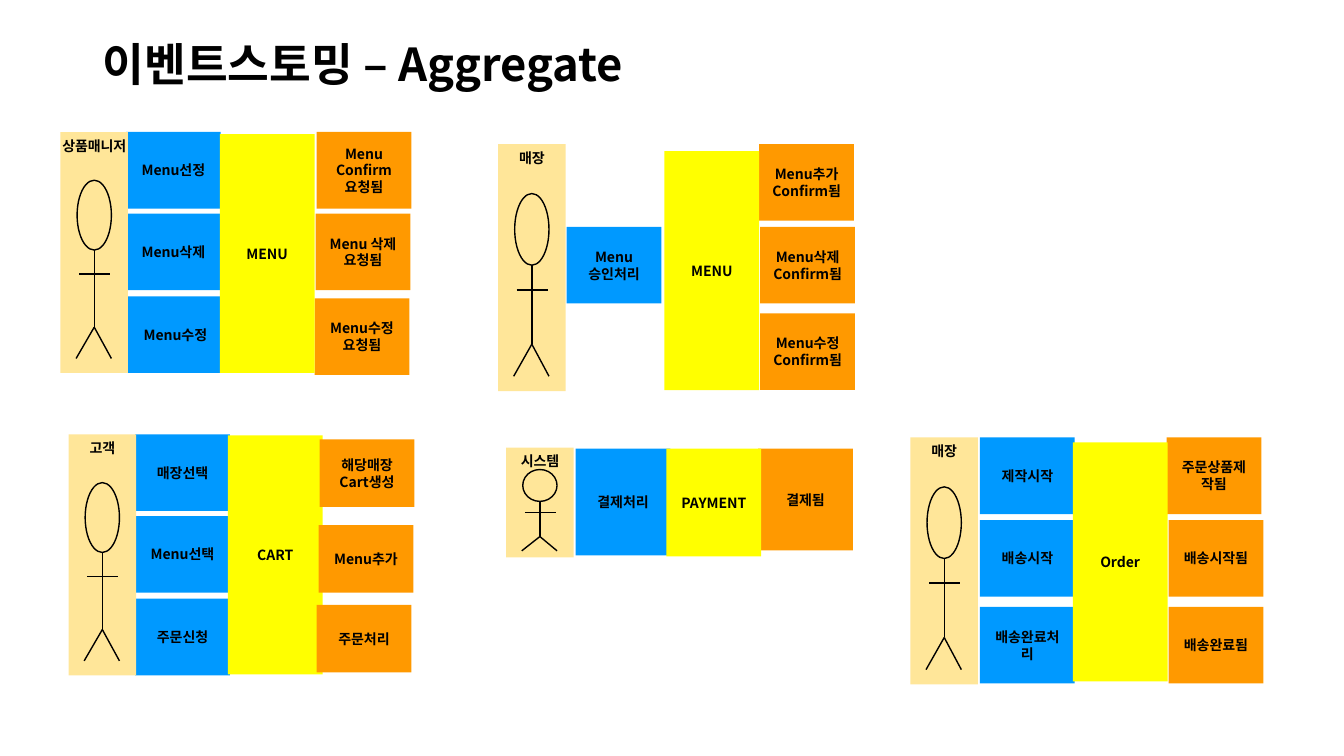
from dataclasses import dataclass

from lxml.etree import SubElement
from pptx import Presentation
from pptx.dml.color import RGBColor
from pptx.enum.shapes import MSO_CONNECTOR, MSO_SHAPE
from pptx.enum.text import MSO_ANCHOR, PP_ALIGN
from pptx.oxml.ns import qn
from pptx.util import Inches, Pt


@dataclass(frozen=True)
class Theme:
    """Colours, fonts and type sizes of the board."""

    ink: str = "000000"
    actor: str = "FFE699"
    command: str = "0099FF"
    aggregate: str = "FFFF00"
    event: str = "FF9900"
    note_font: str = "Noto Sans CJK KR"
    actor_font: str = "Arial"
    title_size: float = 32.4
    note_size: float = 10
    stroke: float = 1


@dataclass(frozen=True)
class Note:
    """A sticky note with its place in inches."""

    text: str
    left: float
    top: float
    height: float = 0.76
    width: float = 0.94


@dataclass(frozen=True)
class Lane:
    """One actor with its commands, aggregate and events."""

    actor: Note
    commands: tuple[Note, ...]
    aggregate: Note
    events: tuple[Note, ...]
    events_in_front: bool = False


THEME = Theme()
ACTOR_WIDTH = 0.67
AGGREGATE_HEIGHT = 2.37
CART_EVENT_HEIGHT = 0.67

LANES = (
    Lane(
        Note("상품매니저", 0.6, 1.31, 2.39, ACTOR_WIDTH),
        (Note("Menu선정", 1.25, 1.31), Note("Menu삭제", 1.25, 2.12), Note("Menu수정", 1.27, 2.94)),
        Note("MENU", 2.18, 1.33, AGGREGATE_HEIGHT),
        (
            Note("Menu Confirm 요청됨", 3.14, 1.31),
            Note("Menu 삭제 요청됨", 3.13, 2.12),
            Note("Menu수정 요청됨", 3.12, 2.96),
        ),
    ),
    Lane(
        Note("매장", 4.94, 1.43, 2.45, ACTOR_WIDTH),
        (Note("Menu승인처리", 5.62, 2.25),),
        Note("MENU", 6.59, 1.5, AGGREGATE_HEIGHT),
        (
            Note("Menu추가 Confirm됨", 7.53, 1.43),
            Note("Menu삭제Confirm됨", 7.54, 2.25),
            Note("Menu수정Confirm됨", 7.54, 3.11),
        ),
    ),
    Lane(
        Note("고객", 0.68, 4.31, 2.39, ACTOR_WIDTH),
        (Note("매장선택", 1.34, 4.31), Note("Menu선택", 1.34, 5.12), Note("주문신청", 1.34, 5.94)),
        Note("CART", 2.26, 4.32, AGGREGATE_HEIGHT),
        (
            Note("해당매장Cart생성", 3.17, 4.36, CART_EVENT_HEIGHT),
            Note("Menu추가", 3.16, 5.21, CART_EVENT_HEIGHT),
            Note("주문처리", 3.14, 6, CART_EVENT_HEIGHT),
        ),
        events_in_front=True,
    ),
    Lane(
        Note("시스템", 5.02, 4.44, 1.09, ACTOR_WIDTH),
        (Note("결제처리", 5.71, 4.45, 1.06),),
        Note("PAYMENT", 6.61, 4.45, 1.07),
        (Note("결제됨", 7.52, 4.45, 1.01),),
    ),
    Lane(
        Note("매장", 9.03, 4.34, 2.45, ACTOR_WIDTH),
        (Note("제작시작", 9.72, 4.34), Note("배송시작", 9.72, 5.16), Note("배송완료처리", 9.72, 6.02)),
        Note("Order", 10.64, 4.39, AGGREGATE_HEIGHT),
        (Note("주문상품제작됨", 11.57, 4.34), Note("배송시작됨", 11.59, 5.16), Note("배송완료됨", 11.59, 6.02)),
    ),
)


def apply_format(target: object, values: dict[str, object]) -> None:
    """Set every named attribute on the target."""
    for name, value in values.items():
        setattr(target, name, value)


def write(frame, text: str, font: str, size: float, frame_format: dict, line_format: dict) -> None:
    """Write one bold paragraph into a text frame."""
    apply_format(frame, frame_format)
    paragraph = frame.paragraphs[0]
    apply_format(paragraph, line_format)
    run = paragraph.add_run()
    run.text = text
    apply_format(run.font, {"name": font, "size": Pt(size), "bold": True})
    run.font.color.rgb = RGBColor.from_string(THEME.ink)
    SubElement(run.font._element, qn("a:ea"), typeface=font)


def draw_note(shapes, note: Note, colour: str, font: str = THEME.note_font,
              anchor: MSO_ANCHOR = MSO_ANCHOR.MIDDLE, wrap: bool = True) -> None:
    """Draw a filled note with centred text."""
    box = (note.left, note.top, note.width, note.height)
    card = shapes.add_shape(MSO_SHAPE.RECTANGLE, *map(Inches, box))
    card.shadow.inherit = False
    card.fill.solid()
    card.fill.fore_color.rgb = RGBColor.from_string(colour)
    card.line.fill.background()
    write(card.text_frame, note.text, font, THEME.note_size,
          {"vertical_anchor": anchor, "word_wrap": wrap}, {"alignment": PP_ALIGN.CENTER})


def ink_line(line) -> None:
    """Give a line the ink colour and stroke width."""
    line.color.rgb = RGBColor.from_string(THEME.ink)
    line.width = Pt(THEME.stroke)


def draw_actor(shapes, actor: Note) -> None:
    """Draw an actor card with a stick figure scaled to its height."""
    figure = shapes.add_group_shape().shapes
    draw_note(figure, actor, THEME.actor, THEME.actor_font, MSO_ANCHOR.TOP, False)
    centre = actor.left + actor.width / 2
    head_width = 0.34
    head_box = (centre - head_width / 2, actor.top + 0.2 * actor.height, head_width, 0.29 * actor.height)
    head = figure.add_shape(MSO_SHAPE.OVAL, *map(Inches, head_box))
    head.shadow.inherit = False
    head.fill.background()
    ink_line(head.line)
    neck, arms, hip, feet = (actor.top + share * actor.height for share in (0.49, 0.59, 0.81, 0.94))
    limbs = (
        (centre, neck, centre, hip),
        (centre - 0.15, arms, centre + 0.16, arms),
        (centre, hip, centre - 0.18, feet),
        (centre, hip, centre + 0.17, feet),
    )
    for limb in limbs:
        stroke = figure.add_connector(MSO_CONNECTOR.STRAIGHT, *map(Inches, limb))
        ink_line(stroke.line)
        SubElement(stroke._element.spPr, qn("a:effectLst"))


def draw_lane(shapes, lane: Lane) -> None:
    """Draw one lane from back to front."""
    for command in lane.commands:
        draw_note(shapes, command, THEME.command)
    draw_actor(shapes, lane.actor)
    outcome = [(event, THEME.event) for event in lane.events]
    core = [(lane.aggregate, THEME.aggregate)]
    for note, colour in core + outcome if lane.events_in_front else outcome + core:
        draw_note(shapes, note, colour)


def main() -> None:
    """Build and save the event storming slide."""
    deck = Presentation()
    apply_format(deck, {"slide_width": Inches(13.33), "slide_height": Inches(7.5)})
    shapes = deck.slides.add_slide(deck.slide_layouts[6]).shapes
    heading = shapes.add_textbox(*map(Inches, (0.92, 0.4, 11.5, 0.53)))
    write(heading.text_frame, "이벤트스토밍 – Aggregate", THEME.note_font, THEME.title_size,
          {"vertical_anchor": MSO_ANCHOR.MIDDLE, "word_wrap": True}, {"line_spacing": 0.9})
    for lane in LANES:
        draw_lane(shapes, lane)
    deck.save("out.pptx")


if __name__ == "__main__":
    main()
